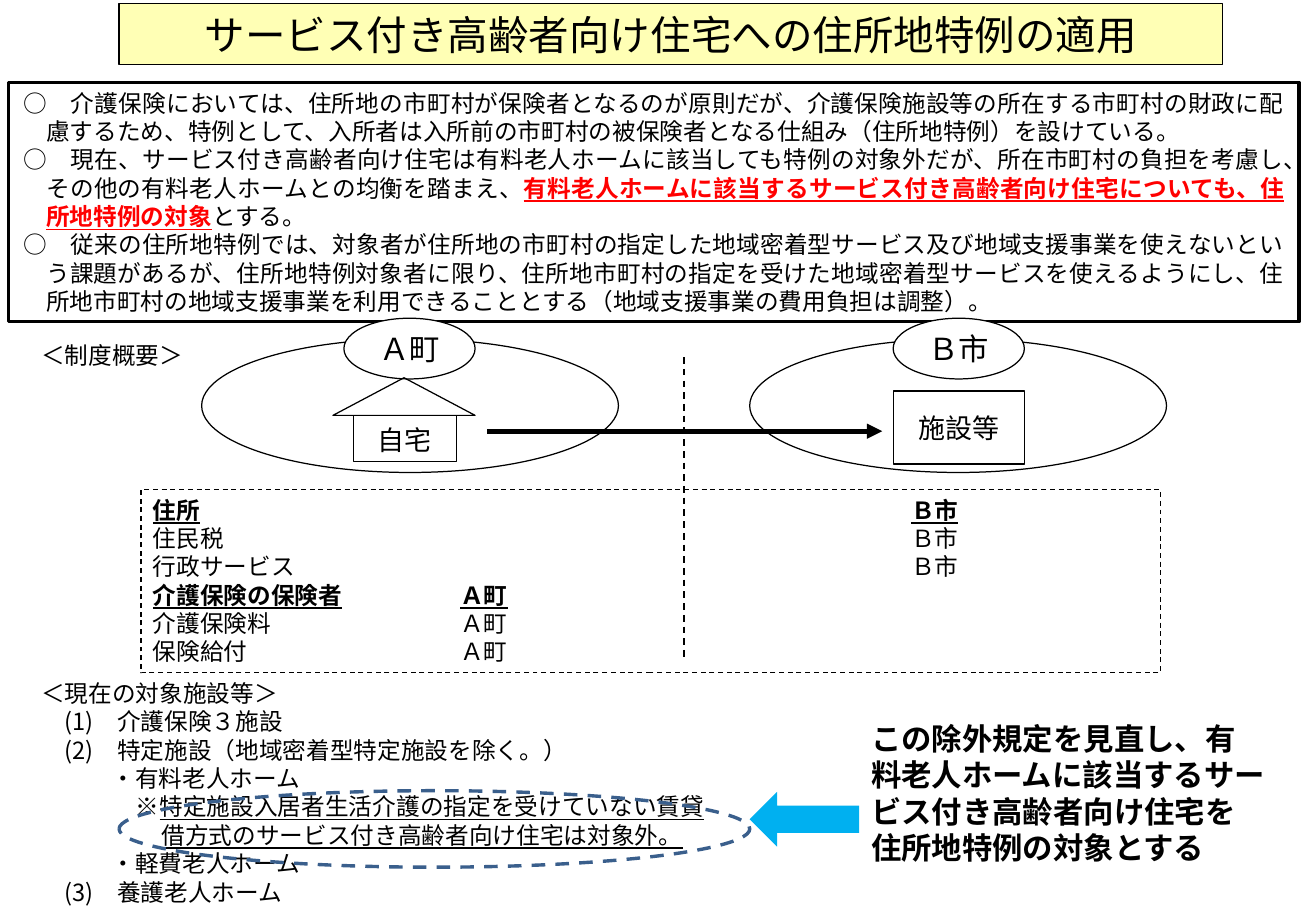
from lxml import etree
from pptx import Presentation
from pptx.dml.color import RGBColor
from pptx.enum.dml import MSO_LINE
from pptx.enum.shapes import MSO_CONNECTOR, MSO_SHAPE
from pptx.enum.text import MSO_ANCHOR, PP_ALIGN
from pptx.oxml.ns import qn
from pptx.util import Inches, Pt

RECTANGLE, OVAL = MSO_SHAPE.RECTANGLE, MSO_SHAPE.OVAL
TRIANGLE, LEFT_ARROW = MSO_SHAPE.ISOSCELES_TRIANGLE, MSO_SHAPE.LEFT_ARROW
LEFT, CENTER, JUSTIFY = PP_ALIGN.LEFT, PP_ALIGN.CENTER, PP_ALIGN.JUSTIFY
TOP, MIDDLE = MSO_ANCHOR.TOP, MSO_ANCHOR.MIDDLE
DASH = MSO_LINE.DASH
GOTHIC, CALIBRI = "Noto Sans CJK JP", "Calibri"
BLACK, WHITE, RED, YELLOW = "000000", "FFFFFF", "FF0000", "FFFF00"
SKY, NAVY = "00B0F0", "3A5F8C"
UNDERLINED = {"underline": True}
STRONG = {"bold": True, "underline": True}
STRONG_RED = {**STRONG, "color": RED}

TITLE = "サービス付き高齢者向け住宅への住所地特例の適用"
POLICY_POINTS = [
    ["○　介護保険においては、住所地の市町村が保険者となるのが原則だが、介護保険施設等の所在する市町村の財政に配慮するため、特例として、入所者は入所前の市町村の被保険者となる仕組み（住所地特例）を設けている。"],
    ["○　現在、サービス付き高齢者向け住宅は有料老人ホームに該当しても特例の対象外だが、所在市町村の負担を考慮し、その他の有料老人ホームとの均衡を踏まえ、",
     ("有料老人ホームに該当するサービス付き高齢者向け住宅についても、住所地特例の対象", STRONG_RED),
     "とする。"],
    ["○　従来の住所地特例では、対象者が住所地の市町村の指定した地域密着型サービス及び地域支援事業を使えないという課題があるが、住所地特例対象者に限り、住所地市町村の指定を受けた地域密着型サービスを使えるようにし、住所地市町村の地域支援事業を利用できることとする（地域支援事業の費用負担は調整）。"],
]
TOWNS = [("Ａ町", 1.66, 2.83), ("Ｂ市", 6.17, 7.35)]
RESPONSIBILITIES = [
    [("住所", STRONG), "\t\t", ("Ｂ市", STRONG)],
    ["住民税\t\tＢ市"],
    ["行政サービス\t\tＢ市"],
    [("介護保険の保険者", STRONG), "\t", ("Ａ町", STRONG)],
    ["介護保険料\tＡ町"],
    ["保険給付\tＡ町"],
]
TOWN_TABS = [2.53, 6.24]
FACILITIES = [
    (["＜現在の対象施設等＞"], 0, 0),
    (["(1)　介護保険３施設"], 0.19, 0),
    (["(2)　特定施設（地域密着型特定施設を除く。）"], 0.19, 0),
    (["・有料老人ホーム"], 0.58, 0),
    (["※", ("特定施設入居者生活介護の指定を受けていない賃貸借方式のサービス付き高齢者向け住宅は対象外。", UNDERLINED)], 0.99, -0.21),
    (["・軽費老人ホーム"], 0.58, 0),
    (["(3)　養護老人ホーム"], 0.19, 0),
]
REVISION = "この除外規定を見直し、有料老人ホームに該当するサービス付き高齢者向け住宅を住所地特例の対象とする"

presentation = Presentation()
presentation.slide_width = Inches(10.83)
presentation.slide_height = Inches(7.5)
slide = presentation.slides.add_slide(presentation.slide_layouts[6])


def set_color(color_format, value):
    color_format.rgb = RGBColor.from_string(value)


def add_box(kind, place, fill=None, line=None, width=0.75, dash=None):
    shape = slide.shapes.add_shape(kind, *map(Inches, place))
    shape.shadow.inherit = False
    if fill:
        shape.fill.solid()
        set_color(shape.fill.fore_color, fill)
    else:
        shape.fill.background()
    if line:
        set_color(shape.line.color, line)
        shape.line.width = Pt(width)
        shape.line.dash_style = dash
    else:
        shape.line.fill.background()
    return shape


def add_label(place):
    return slide.shapes.add_textbox(*map(Inches, place))


def add_line(start, end, width):
    connector = slide.shapes.add_connector(MSO_CONNECTOR.STRAIGHT, *map(Inches, start + end))
    set_color(connector.line.color, BLACK)
    connector.line.width = Pt(width)
    etree.SubElement(connector._element.spPr, qn("a:effectLst"))
    return connector


def write(shape, paragraphs, size=14, font=GOTHIC, bold=False, align=LEFT, anchor=TOP,
          wrap=True, insets=(0.1, 0.05, 0.1, 0.05), indents=None, tabs=()):
    frame = shape.text_frame
    frame.word_wrap = wrap
    frame.vertical_anchor = anchor
    frame.margin_left, frame.margin_top, frame.margin_right, frame.margin_bottom = map(Inches, insets)
    for index, pieces in enumerate(paragraphs):
        paragraph = frame.add_paragraph() if index else frame.paragraphs[0]
        paragraph.alignment = align
        properties = paragraph._p.get_or_add_pPr()
        if indents:
            margin, hanging = indents[index]
            properties.set("marL", str(Inches(margin)))
            properties.set("indent", str(Inches(hanging)))
        if tabs:
            tab_list = etree.SubElement(properties, qn("a:tabLst"))
            for tab in tabs:
                etree.SubElement(tab_list, qn("a:tab"), pos=str(Inches(tab)), algn="l")
        for piece in pieces:
            text, style = (piece, {}) if isinstance(piece, str) else piece
            run = paragraph.add_run()
            run.text = text
            run.font.size = Pt(size)
            run.font.name = font
            run.font.bold = style.get("bold", bold)
            run.font.underline = style.get("underline", False)
            set_color(run.font.color, style.get("color", BLACK))
            etree.SubElement(run._r.get_or_add_rPr(), qn("a:ea"), typeface=GOTHIC)


policy_box = add_box(RECTANGLE, (0.07, 0.68, 10.62, 1.97), WHITE, BLACK, 2)
write(policy_box, POLICY_POINTS, align=JUSTIFY, insets=(0.12, 0.05, 0.12, 0.12),
      indents=[(0.19, -0.19)] * len(POLICY_POINTS))

title_box = add_box(RECTANGLE, (0.98, 0.03, 9.08, 0.5), YELLOW, BLACK)
title_color = title_box._element.spPr.find(qn("a:solidFill"))[0]
etree.SubElement(title_color, qn("a:alpha"), val="29000")
write(title_box, [[TITLE]], size=24, align=CENTER, anchor=MIDDLE)

write(add_label((0.24, 5.54, 5.82, 1.99)), [pieces for pieces, _, _ in FACILITIES],
      indents=[(margin, hanging) for _, margin, hanging in FACILITIES])

for town, area_left, name_left in TOWNS:
    add_box(OVAL, (area_left, 2.79, 3.43, 1.1), line=BLACK)
    name_oval = add_box(OVAL, (name_left, 2.62, 1.08, 0.5), WHITE, BLACK)
    write(name_oval, [[town]], size=18, font=CALIBRI, align=CENTER, anchor=MIDDLE, wrap=False)

add_box(RECTANGLE, (2.91, 3.42, 0.85, 0.38), line=BLACK)
add_box(TRIANGLE, (2.74, 3.11, 1.17, 0.31), line=BLACK)
write(add_label((3.01, 3.44, 0.65, 0.37)), [["自宅"]], size=16, font=CALIBRI, wrap=False)
facility_box = add_box(RECTANGLE, (7.35, 3.22, 1.08, 0.6), line=BLACK)
write(facility_box, [["施設等"]], size=16, font=CALIBRI, align=CENTER, anchor=MIDDLE, wrap=False)

move_arrow = add_line((4.01, 3.55), (7.26, 3.55), 3)
etree.SubElement(move_arrow.line._get_or_add_ln(), qn("a:tailEnd"), type="triangle")

responsibility_box = add_box(RECTANGLE, (1.16, 4.03, 8.39, 1.51), line=BLACK, dash=DASH)
write(responsibility_box, RESPONSIBILITIES, tabs=TOWN_TABS)
add_line((5.63, 2.94), (5.63, 5.42), 1).line.dash_style = DASH

write(add_label((0.24, 2.76, 1.88, 0.34)), [["＜制度概要＞"]], font=CALIBRI)
add_box(LEFT_ARROW, (6.17, 6.52, 0.9, 0.45), SKY)
add_box(OVAL, (0.98, 6.51, 5.19, 0.63), line=NAVY, width=2, dash=DASH)
write(add_label((7.07, 5.88, 3.44, 1.31)), [[REVISION]], size=18, font=CALIBRI, bold=True)

presentation.save("out.pptx")
